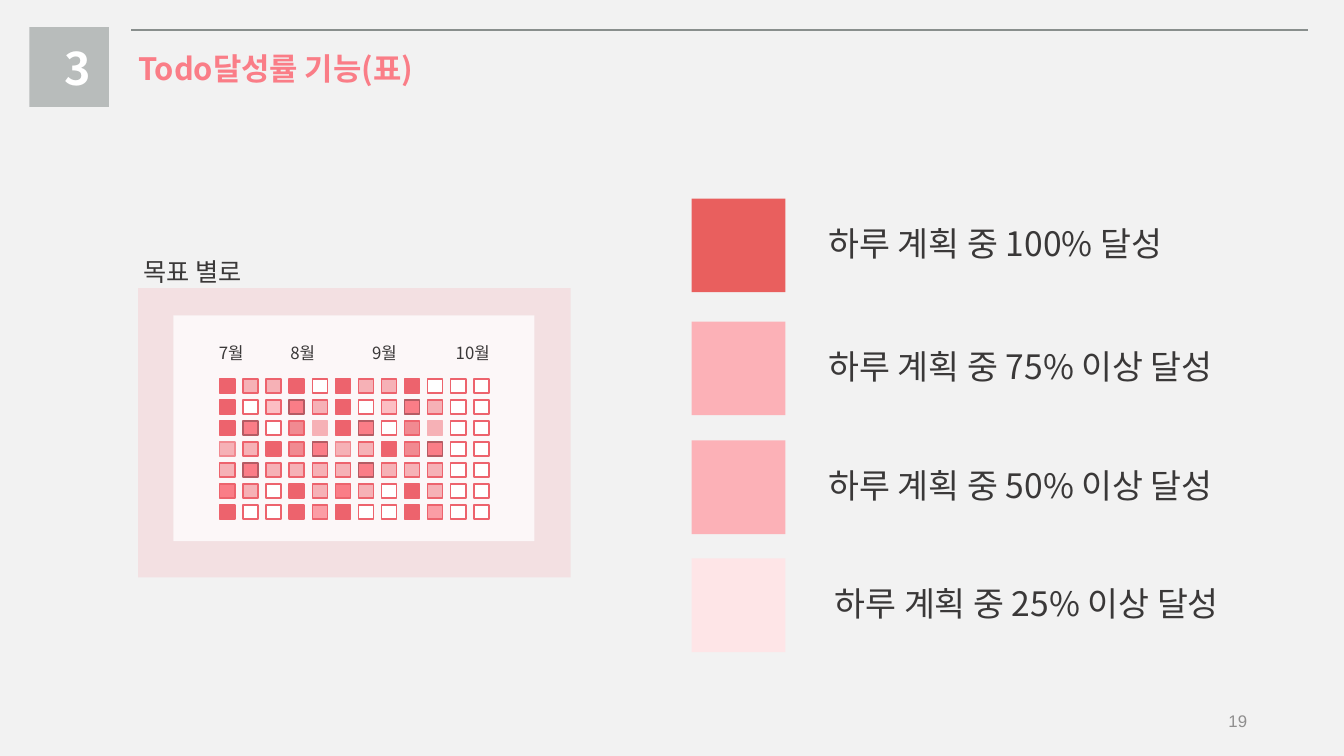
from dataclasses import dataclass

from lxml import etree
from pptx import Presentation
from pptx import util as u
from pptx.dml.color import RGBColor
from pptx.enum import shapes, text
from pptx.oxml.ns import qn

CELL = u.Inches(0.01)
COLS, ROWS = 1333, 750


@dataclass(frozen=True)
class Theme:
    """Colours, fonts and type sizes of the slide."""
    font: str = "Noto Sans CJK KR"
    number_font: str = "Arial"
    back: str = "F2F2F2"
    ink: str = "3A3838"
    muted: str = "8F8E8E"
    rule: str = "898F8D"
    badge: str = "B8BCBB"
    white: str = "FFFFFF"
    accent: str = "FA7D87"
    outline: str = "ED636D"
    badge_size: int = 32
    legend_size: int = 24
    title_size: int = 22
    label_size: int = 18
    small_size: int = 12


T = Theme()

LEGEND = [
    ("하루 계획 중 100% 달성", "E95F5E", 0, 33, 383),
    ("하루 계획 중 75% 이상 달성", "FCB1B7", 122, 33, 428),
    ("하루 계획 중 50% 이상 달성", "FCB1B7", 240, 33, 458),
    ("하루 계획 중 25% 이상 달성", "FEE5E7", 357, 39, 409),
]
MONTHS = [("7월", 75), ("8월", 146), ("9월", 227), ("10월", 310)]
DAY_STYLES = {
    "D": (T.outline, T.outline),
    "L": ("F6B1B6", T.outline),
    "W": (T.white, T.outline),
    "P": ("FCBEC3", T.outline),
    "M": ("F18A91", T.outline),
    "A": (T.accent, "B65B63"),
    "B": (T.accent, T.outline),
    "S": ("F6B1B6", "F18A91"),
    "N": ("F6B1B6", "F6B1B6"),
    "T": ("FB9DA5", T.outline),
}
DAY_PATTERNS = ["DLLDW", "DWPAL", "DAWMN", "SLDMA", "LALLL", "BLWDL", "DWWDT"]


def emu(box):
    """Turn grid columns and rows into slide lengths."""
    return [int(n * CELL) for n in box]


def add_rect(s, box, fill, line=None, alpha=None):
    """Add a flat rectangle, optionally outlined or translucent."""
    sp = s.shapes.add_shape(shapes.MSO_SHAPE.RECTANGLE, *emu(box))
    sp.shadow.inherit = False
    sp.fill.solid()
    sp.fill.fore_color.rgb = RGBColor.from_string(fill)
    if alpha is not None:
        color = sp._element.spPr.find(qn("a:solidFill"))[0]
        etree.SubElement(color, qn("a:alpha"), val=str(alpha * 1000))
    if line:
        sp.line.color.rgb = RGBColor.from_string(line)
        sp.line.width = u.Pt(1)
    else:
        sp.line.fill.background()
    return sp


def add_text(s, box, words, size, color=T.ink, font=T.font, bold=False,
             align=text.PP_ALIGN.LEFT, anchor=text.MSO_ANCHOR.TOP,
             pad=(5, 5), wrap=True):
    """Add a text box holding one formatted line of words."""
    tf = s.shapes.add_textbox(*emu(box)).text_frame
    tf.word_wrap = wrap
    tf.vertical_anchor = anchor
    tf.margin_left = tf.margin_right = int(pad[0] * CELL)
    tf.margin_top = tf.margin_bottom = int(pad[1] * CELL)
    p = tf.paragraphs[0]
    p.alignment = align
    r = p.add_run()
    r.text = words
    r.font.size = u.Pt(size)
    r.font.bold = bold
    r.font.name = font
    r.font.color.rgb = RGBColor.from_string(color)
    etree.SubElement(r._r.get_or_add_rPr(), qn("a:ea"), typeface=font)


def add_header(s, box):
    """Place the numbered badge, the rule and the title."""
    x, y, w, h = box
    start_x, line_y, end_x, end_y = emu((x + 101, y + 3, x + w, y + 3))
    rule = s.shapes.add_connector(
        shapes.MSO_CONNECTOR.STRAIGHT, start_x, line_y, end_x, end_y)
    rule.line.color.rgb = RGBColor.from_string(T.rule)
    rule.line.width = u.Pt(1.5)
    etree.SubElement(rule._element.spPr, qn("a:effectLst"))
    add_rect(s, (x, y, h, h), T.badge)
    add_text(s, (x + 30, y + 8, 18, 60), "3", T.badge_size, color=T.white,
             bold=True, align=text.PP_ALIGN.CENTER)
    add_text(s, (x + 103, y + 17, 301, 47), "Todo달성률 기능(표)",
             T.title_size, color=T.accent, bold=True)


def add_days(s, box):
    """Spread the day squares evenly over the box."""
    x, y, w, h = box
    day_w, day_h = 15, 14
    rows = [pattern * 2 + "WW" for pattern in DAY_PATTERNS]
    step_x = (w - day_w) / (len(rows[0]) - 1)
    step_y = (h - day_h) / (len(rows) - 1)
    for j, row in enumerate(rows):
        for i, key in enumerate(row):
            fill, line = DAY_STYLES[key]
            add_rect(s, (x + i * step_x, y + j * step_y, day_w, day_h),
                     fill, line=line)


def add_calendar(s, box):
    """Place the calendar panel with its label, months and days."""
    x, y, w, h = box
    add_rect(s, box, T.accent, alpha=15)
    add_rect(s, (x + 35, y + 27, w - 71, h - 63), T.white, alpha=76)
    add_text(s, (x - 5, y - 37, 271, 40), "목표 별로", T.label_size,
             pad=(10, 5))
    for month, left in MONTHS:
        add_text(s, (x + left, y + 49, 55, 31), month, T.small_size)
    add_days(s, (x + 81, y + 90, 267, 139))


def add_legend(s, box):
    """Place the colour swatches and their meanings."""
    x, y, w, h = box
    side = 93
    for words, fill, top, gap, width in LEGEND:
        add_rect(s, (x, y + top, side, side), fill)
        add_text(s, (x + side + gap, y + top + 19, width, 50), words,
                 T.legend_size, pad=(10, 5))


def add_page_number(s, box):
    """Place the page number at the right of its box."""
    add_text(s, box, "19", T.small_size, color=T.muted, font=T.number_font,
             align=text.PP_ALIGN.RIGHT, anchor=text.MSO_ANCHOR.MIDDLE,
             wrap=False)


def main():
    """Build the slide and save it."""
    prs = Presentation()
    prs.slide_width, prs.slide_height = emu((COLS, ROWS))
    s = prs.slides.add_slide(prs.slide_layouts[6])
    s.background.fill.solid()
    s.background.fill.fore_color.rgb = RGBColor.from_string(T.back)
    add_calendar(s, (137, 286, 429, 287))
    add_header(s, (29, 27, 1268, 79))
    add_legend(s, (686, 197, 584, 450))
    add_page_number(s, (1212, 701, 30, 29))
    prs.save("out.pptx")


if __name__ == "__main__":
    main()
